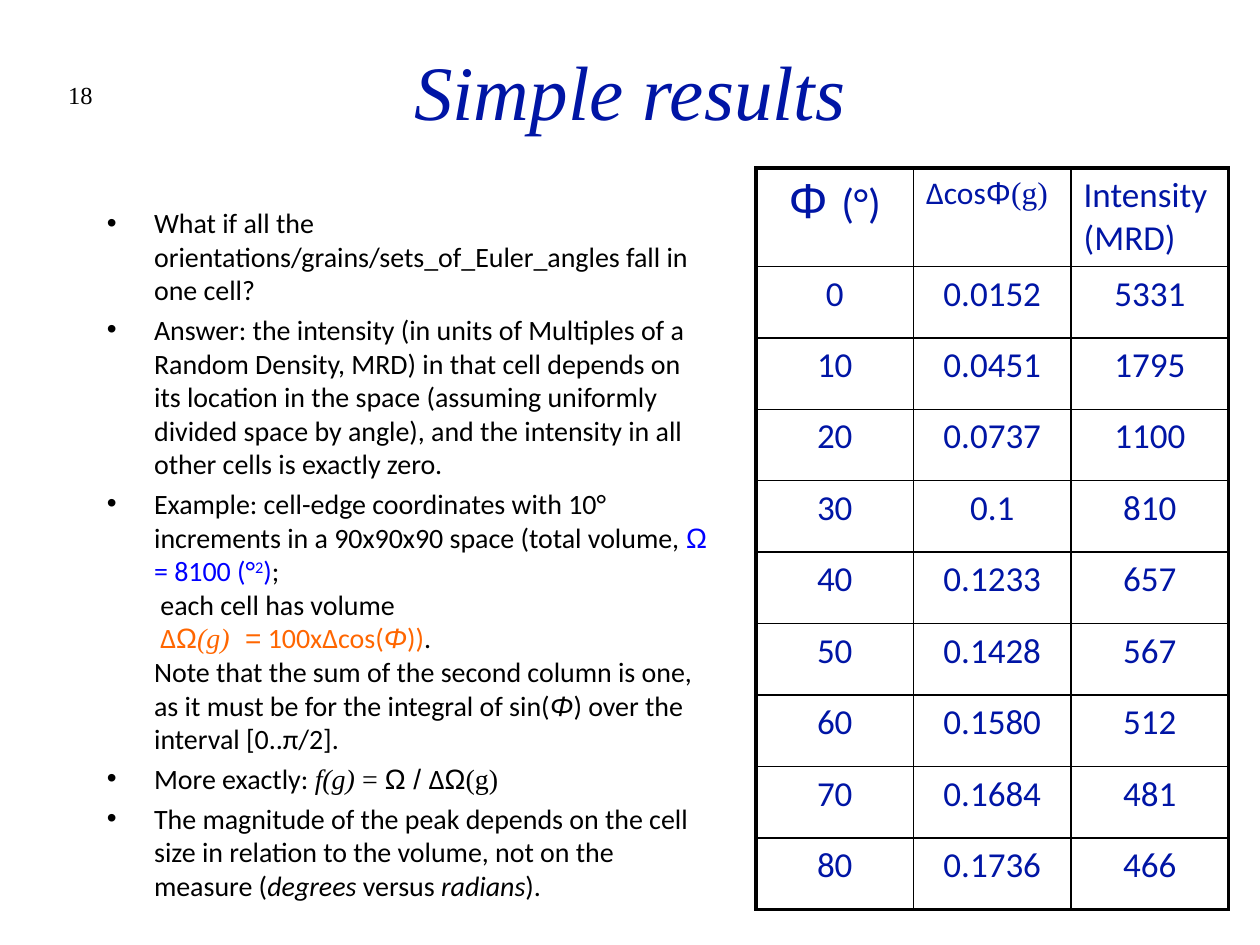
from dataclasses import dataclass

from lxml.etree import SubElement
from pptx import Presentation
from pptx.dml.color import RGBColor
from pptx.enum.text import MSO_ANCHOR, MSO_AUTO_SIZE, PP_ALIGN
from pptx.oxml.ns import qn
from pptx.util import Cm, Pt


@dataclass(frozen=True)
class Theme:
    """Colours, faces and type sizes of the deck."""
    navy: str = "0015A5"
    black: str = "000000"
    blue: str = "0000FF"
    orange: str = "FF6600"
    sans: str = "Calibri"
    symbol: str = "Arial"
    serif: str = "Times New Roman"
    title: int = 44
    body: int = 16
    number: int = 14
    cell: int = 20
    delta: int = 18
    unit: int = 24
    phi: int = 28
    gap: float = 3.5
    frame: float = 2.25
    grid: float = 1


@dataclass(frozen=True)
class Box:
    """A region of the page in centimetres."""
    left: float
    top: float
    width: float
    height: float

    def lengths(self):
        """Return the four sides as lengths."""
        return Cm(self.left), Cm(self.top), Cm(self.width), Cm(self.height)


@dataclass(frozen=True)
class Span:
    """A piece of text with its own look."""
    text: str
    face: str = Theme.sans
    color: str = Theme.black
    italic: bool = False
    size: int = Theme.body
    raised: bool = False


THEME = Theme()
BULLETS = [
    [Span("What if all the orientations/grains/sets_of_Euler_angles fall in one cell?")],
    [Span("Answer: the intensity (in units of Multiples of a Random Density, MRD) in that "
          "cell depends on its location in the space (assuming uniformly divided space by "
          "angle), and the intensity in all other cells is exactly zero.")],
    [Span("Example: cell-edge coordinates with 10° increments in a 90x90x90 space "
          "(total volume, "),
     Span("Ω", THEME.symbol, THEME.blue),
     Span(" = 8100 (°", color=THEME.blue),
     Span("2", color=THEME.blue, raised=True),
     Span(")", color=THEME.blue),
     Span(";\n each cell has volume\n"),
     Span(" ∆", color=THEME.orange),
     Span("Ω", THEME.symbol, THEME.orange),
     Span("(g)", THEME.serif, THEME.orange, True),
     Span("  =", THEME.symbol, THEME.orange),
     Span(" 100x∆cos(", color=THEME.orange),
     Span("Φ", THEME.symbol, THEME.orange, True),
     Span("))", color=THEME.orange),
     Span(".\nNote that the sum of the second column is one, as it must be for the "
          "integral of sin("),
     Span("Φ", THEME.symbol, italic=True),
     Span(") over the interval [0..π/2].")],
    [Span("More exactly: "),
     Span("f(g)", THEME.serif, italic=True),
     Span(" = ", THEME.serif),
     Span("Ω / ", THEME.symbol),
     Span("∆"),
     Span("Ω", THEME.symbol),
     Span("(g)", THEME.serif)],
    [Span("The magnitude of the peak depends on the cell size in relation to the volume, "
          "not on the measure ("),
     Span("degrees ", italic=True),
     Span("versus "),
     Span("radians", italic=True),
     Span(").")],
]
HEADER = [
    [Span("Φ ", THEME.symbol, THEME.navy, size=THEME.phi),
     Span("(°)", color=THEME.navy, size=THEME.unit)],
    [Span("∆cos", color=THEME.navy, size=THEME.delta),
     Span("Φ", THEME.symbol, THEME.navy, size=THEME.delta),
     Span("(g)", THEME.serif, THEME.navy, size=THEME.delta)],
    [Span("Intensity (MRD)", color=THEME.navy, size=THEME.cell)],
]
RESULTS = [
    ("0", "0.0152", "5331"),
    ("10", "0.0451", "1795"),
    ("20", "0.0737", "1100"),
    ("30", "0.1", "810"),
    ("40", "0.1233", "657"),
    ("50", "0.1428", "567"),
    ("60", "0.1580", "512"),
    ("70", "0.1684", "481"),
    ("80", "0.1736", "466"),
]


def write_spans(para, spans, align=PP_ALIGN.LEFT, gap=0):
    """Write styled spans into a paragraph, breaking lines at newlines."""
    para.alignment = align
    para.space_before = Pt(gap)
    for span in spans:
        for index, line in enumerate(span.text.split("\n")):
            if index:
                para.add_line_break()
                SubElement(para._p[-1], qn("a:rPr"), sz=str(span.size * 100))
            if not line:
                continue
            run = para.add_run()
            run.text = line
            run.font.name = span.face
            run.font.size = Pt(span.size)
            run.font.italic = span.italic
            run.font.color.rgb = RGBColor.from_string(span.color)
            if span.raised:
                run._r.get_or_add_rPr().set("baseline", "30000")


def place(shape, box):
    """Move a shape into its box."""
    shape.left, shape.top, shape.width, shape.height = box.lengths()


def fill_title(page, box):
    """Write the page title."""
    shape = page.shapes.title
    place(shape, box)
    frame = shape.text_frame
    frame.auto_size = MSO_AUTO_SIZE.NONE
    frame.vertical_anchor = MSO_ANCHOR.MIDDLE
    title = Span("Simple results", THEME.serif, THEME.navy, True, THEME.title)
    write_spans(frame.paragraphs[0], [title], PP_ALIGN.CENTER)


def fill_body(page, box):
    """Write the bulleted list."""
    shape = page.placeholders[1]
    place(shape, box)
    frame = shape.text_frame
    frame.auto_size = MSO_AUTO_SIZE.NONE
    for index, spans in enumerate(BULLETS):
        para = frame.add_paragraph() if index else frame.paragraphs[0]
        write_spans(para, spans, gap=THEME.gap)


def add_number(page, box):
    """Add the page number."""
    frame = page.shapes.add_textbox(*box.lengths()).text_frame
    frame.word_wrap = True
    number = Span("18", THEME.serif, size=THEME.number)
    write_spans(frame.paragraphs[0], [number], PP_ALIGN.RIGHT)


def draw_borders(cell, outer):
    """Rule the four sides of a cell, heavier where it meets the frame."""
    properties = cell._tc.get_or_add_tcPr()
    for side, is_outer in zip("LRTB", outer):
        width = Pt(THEME.frame if is_outer else THEME.grid)
        line = SubElement(properties, qn(f"a:ln{side}"), w=str(width))
        fill = SubElement(line, qn("a:solidFill"))
        SubElement(fill, qn("a:srgbClr"), val=THEME.black)


def add_results(page, box, header_height=1.98):
    """Add the table of intensities."""
    rows = HEADER, *([[Span(value, color=THEME.navy, size=THEME.cell)] for value in row]
                     for row in RESULTS)
    last_row, last_column = len(rows) - 1, len(HEADER) - 1
    table = page.shapes.add_table(len(rows), len(HEADER), *box.lengths()).table
    table.first_row = table.horz_banding = False
    for index, row in enumerate(table.rows):
        row.height = Cm((box.height - header_height) / last_row if index else header_height)
    for r, row in enumerate(rows):
        for c, spans in enumerate(row):
            cell = table.cell(r, c)
            draw_borders(cell, (c == 0, c == last_column, r == 0, r == last_row))
            cell.fill.background()
            align = PP_ALIGN.CENTER if r or c == 0 else PP_ALIGN.LEFT
            write_spans(cell.text_frame.paragraphs[0], spans, align, THEME.gap)


def main():
    """Build and save the deck."""
    deck = Presentation()
    deck.slide_width, deck.slide_height = Cm(25.4), Cm(19.05)
    page = deck.slides.add_slide(deck.slide_layouts[1])
    add_number(page, Box(0.64, 1.48, 1.48, 1.27))
    fill_title(page, Box(1.9, 0.21, 21.6, 3.18))
    fill_body(page, Box(1.9, 4.02, 12.7, 13.97))
    add_results(page, Box(15.24, 3.39, 9.53, 14.94))
    deck.save("out.pptx")


if __name__ == "__main__":
    main()
